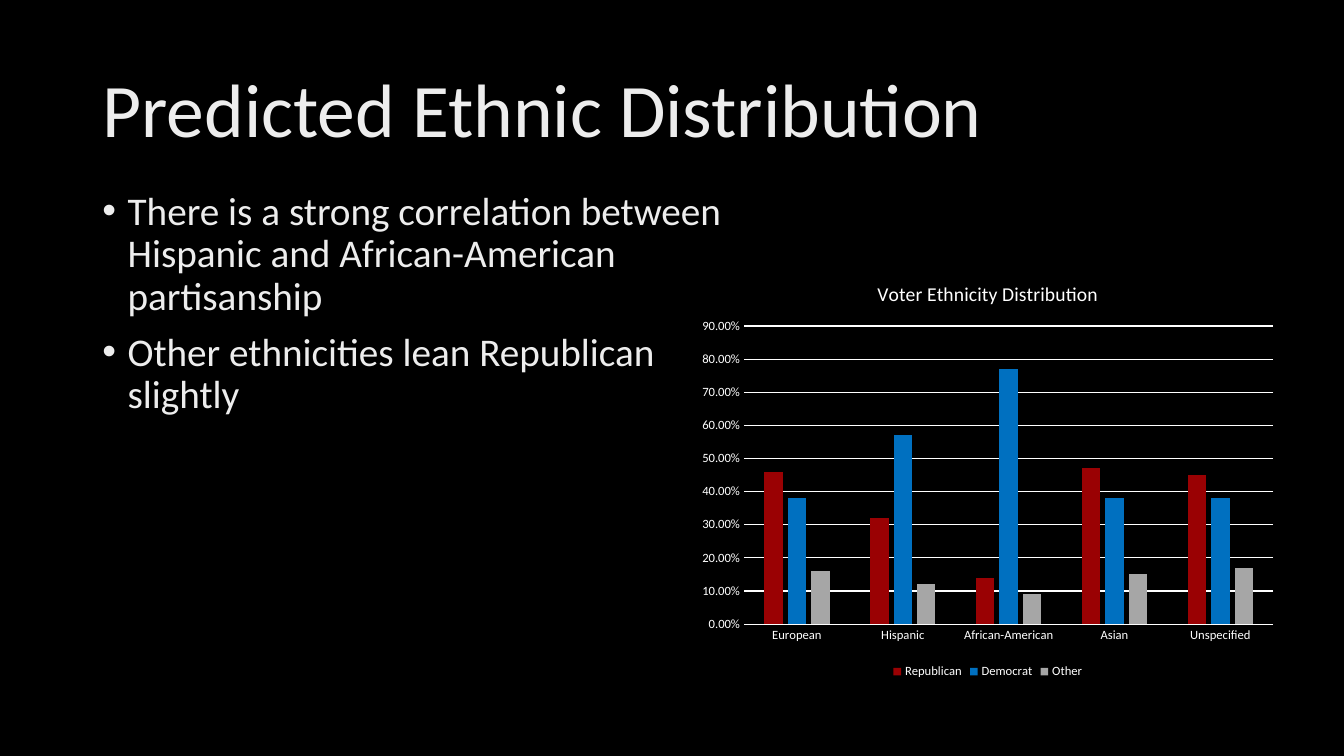
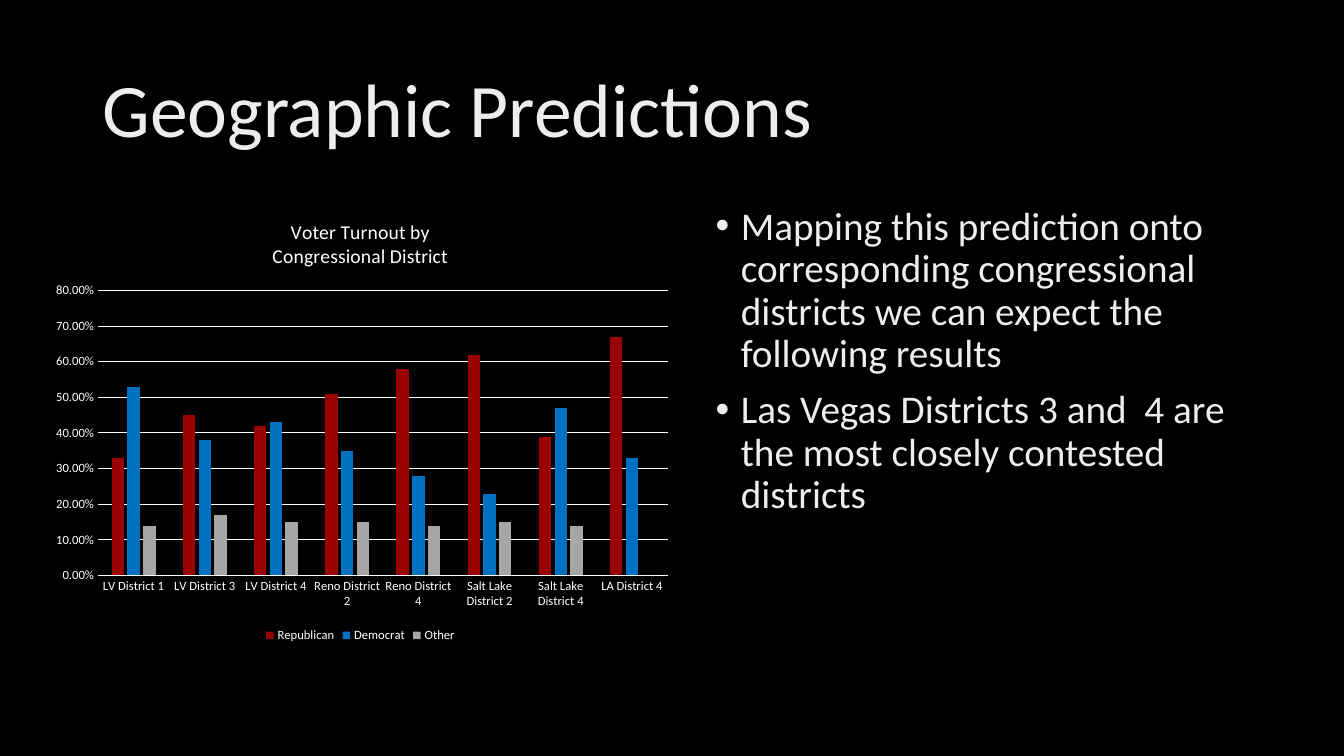
import pptx
import pptx.chart.data
import pptx.dml.color
import pptx.enum.chart
import pptx.enum.text
import pptx.oxml
import pptx.oxml.ns
import pptx.util

COLORS = {
    "back": "000000", "text": "EDEDED", "line": "FFFFFF",
    "Republican": "9A0103", "Democrat": "0070C0", "Other": "A6A6A6",
}
FONT = "Calibri"
COLS, ROWS = 80, 45  # square cells, six to the inch


def rgb(key):
    return pptx.dml.color.RGBColor.from_string(COLORS[key])


class Deck:
    def __init__(self):
        self.prs = pptx.Presentation()
        self.prs.slide_width = pptx.util.Inches(COLS / 6)
        self.prs.slide_height = pptx.util.Inches(ROWS / 6)
        fill = self.prs.slide_master.background.fill
        fill.solid()
        fill.fore_color.rgb = rgb("back")
        self.slide = None

    def box(self, col, row, wide, high):
        """Turn grid cells into slide lengths."""
        x = self.prs.slide_width / COLS
        y = self.prs.slide_height / ROWS
        return int(col * x), int(row * y), int(wide * x), int(high * y)

    def style(self, font, size, color="line"):
        font.name = FONT
        font.size = pptx.util.Pt(size)
        font.bold = False
        font.color.rgb = rgb(color)

    def place(self, shape, area, anchor):
        shape.left, shape.top, shape.width, shape.height = self.box(*area)
        frame = shape.text_frame
        frame.word_wrap = True
        frame.auto_size = pptx.enum.text.MSO_AUTO_SIZE.NONE
        frame.vertical_anchor = anchor
        return frame

    # Slide with its title
    def page(self, title):
        self.slide = self.prs.slides.add_slide(self.prs.slide_layouts[1])
        frame = self.place(self.slide.shapes.title, (5.5, 2.4, 69, 8.7),
                           pptx.enum.text.MSO_ANCHOR.MIDDLE)
        frame.text = title
        para = frame.paragraphs[0]
        para.alignment = pptx.enum.text.PP_ALIGN.LEFT
        para.line_spacing = 0.9
        self.style(para.font, 54, "text")

    # Bulleted list
    def points(self, area, *items):
        frame = self.place(self.slide.placeholders[1], area,
                           pptx.enum.text.MSO_ANCHOR.TOP)
        frame.text = "\n".join(items)
        indent = pptx.util.Inches(0.25)
        for num, para in enumerate(frame.paragraphs):
            props = para._p.get_or_add_pPr()
            props.set("marL", str(indent))
            props.set("indent", str(-indent))
            mark = pptx.oxml.ns.qn("a:buChar")
            props.append(props.makeelement(mark, {"char": "•"}))
            para.line_spacing = 0.9
            para.space_before = pptx.util.Pt(10 if num else 0)
            self.style(para.font, 28, "text")

    # Column chart; plot gives left, top, width, height as chart shares
    def chart(self, area, title, cats, rows, top, plot):
        data = pptx.chart.data.CategoryChartData(number_format="0.00%")
        data.categories = cats
        for name, vals in rows.items():
            data.add_series(name, vals)
        kind = pptx.enum.chart.XL_CHART_TYPE.COLUMN_CLUSTERED
        chart = self.slide.shapes.add_chart(kind, *self.box(*area), data).chart
        self.style(chart.font, 10)

        chart.has_title = True
        frame = chart.chart_title.text_frame
        frame.text = title
        chart.chart_title.include_in_layout = False
        for para in frame.paragraphs:
            self.style(para.font, 14)

        chart.has_legend = True
        chart.legend.position = pptx.enum.chart.XL_LEGEND_POSITION.BOTTOM
        chart.legend.include_in_layout = False
        self.style(chart.legend.font, 9)

        bars = chart.plots[0]
        bars.gap_width, bars.overlap = 219, -27
        bars.vary_by_categories = False
        for series in bars.series:
            series.format.fill.solid()
            series.format.fill.fore_color.rgb = rgb(series.name)
        self.axes(chart, top)
        self.fit(chart, plot)

    def axes(self, chart, top):
        value, cat = chart.value_axis, chart.category_axis
        for axis in (value, cat):
            axis.major_tick_mark = pptx.enum.chart.XL_TICK_MARK.NONE
            axis.minor_tick_mark = pptx.enum.chart.XL_TICK_MARK.NONE
            self.style(axis.tick_labels.font, 9)
        value.minimum_scale, value.maximum_scale = 0, top
        value.major_unit = 0.1
        value.tick_labels.number_format = "0.00%"
        value.tick_labels.number_format_is_linked = False
        value.format.line.fill.background()
        value.has_major_gridlines = True
        for line in (value.major_gridlines.format.line, cat.format.line):
            line.color.rgb = rgb("line")
            line.width = pptx.util.Pt(0.75)

    def fit(self, chart, plot):
        area = chart._chartSpace.chart.plotArea
        for old in area.findall(pptx.oxml.ns.qn("c:layout")):
            area.remove(old)
        sizes = "".join(f'<c:{tag} val="{val}"/>'
                        for tag, val in zip("xywh", plot))
        area.insert(0, pptx.oxml.parse_xml(
            f'<c:layout {pptx.oxml.ns.nsdecls("c")}><c:manualLayout>'
            '<c:layoutTarget val="inner"/><c:xMode val="edge"/>'
            f'<c:yMode val="edge"/>{sizes}</c:manualLayout></c:layout>'))


def main():
    deck = Deck()

    # Ethnic groups
    deck.page("Predicted Ethnic Distribution")
    deck.points(
        (5.5, 11.1, 40.7, 29.6),
        "There is a strong correlation between Hispanic and "
        "African-American partisanship",
        "Other ethnicities lean Republican slightly")
    deck.chart(
        (41.1, 15.66, 35.4, 25), "Voter Ethnicity Distribution",
        ["European", "Hispanic", "African-American", "Asian", "Unspecified"],
        {"Republican": [0.46, 0.32, 0.14, 0.47, 0.45],
         "Democrat": [0.38, 0.57, 0.77, 0.38, 0.38],
         "Other": [0.16, 0.12, 0.09, 0.15, 0.17]},
        0.9, (0.09, 0.15, 0.89, 0.71))

    # Districts
    deck.page("Geographic Predictions")
    deck.points(
        (42, 12, 32.5, 28.6),
        "Mapping this prediction onto corresponding congressional districts "
        "we can expect the following results",
        "Las Vegas Districts 3 and  4 are the most closely contested districts")
    deck.chart(
        (2.4, 12, 38.1, 26.5), "Voter Turnout by\nCongressional District",
        ["LV District 1", "LV District 3", "LV District 4",
         "Reno District 2", "Reno District 4", "Salt Lake District 2",
         "Salt Lake District 4", "LA District 4"],
        {"Republican": [0.33, 0.45, 0.42, 0.51, 0.58, 0.62, 0.39, 0.67],
         "Democrat": [0.53, 0.38, 0.43, 0.35, 0.28, 0.23, 0.47, 0.33],
         "Other": [0.14, 0.17, 0.15, 0.15, 0.14, 0.15, 0.14, 0]},
        0.8, (0.09, 0.2, 0.89, 0.64))

    deck.prs.save("out.pptx")


if __name__ == "__main__":
    main()
